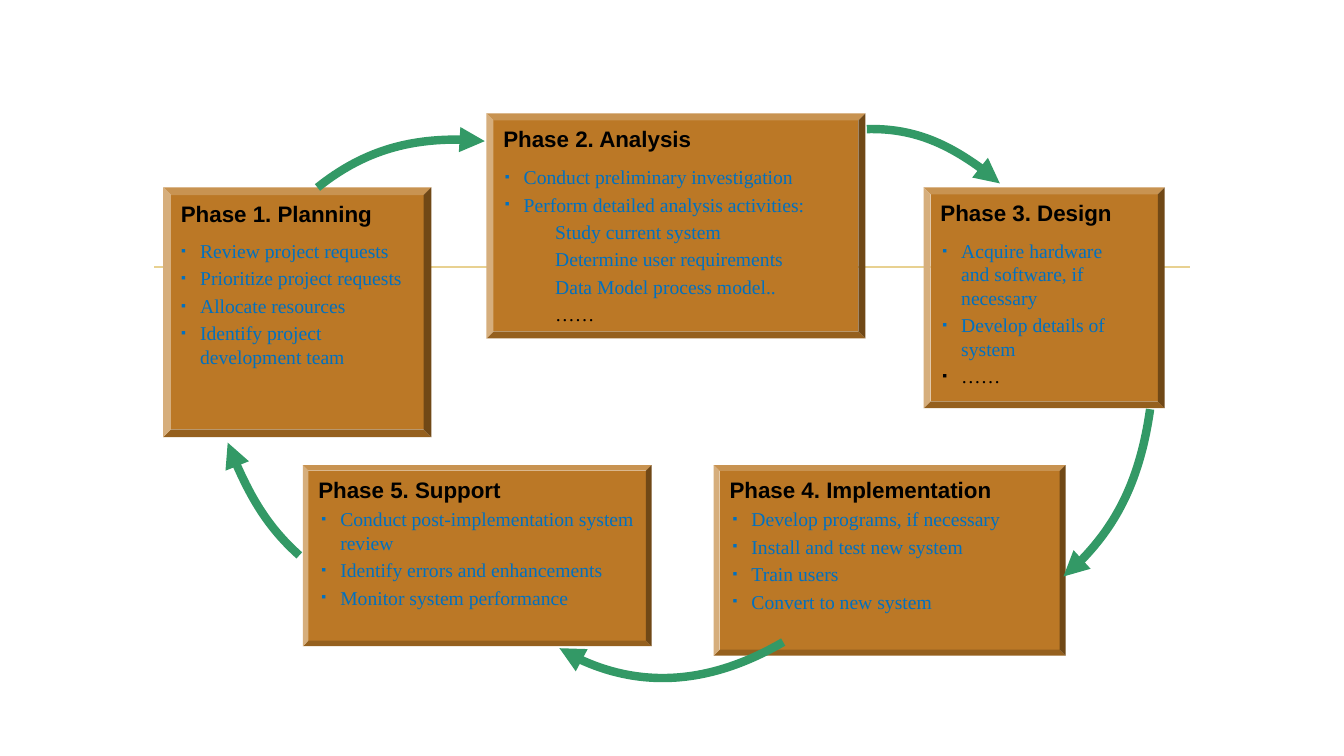
from math import cos, radians, sin

from lxml import etree
from pptx import Presentation
from pptx.dml.color import RGBColor
from pptx.enum.shapes import MSO_CONNECTOR, MSO_SHAPE
from pptx.enum.text import MSO_ANCHOR, MSO_AUTO_SIZE, PP_ALIGN
from pptx.oxml.ns import qn
from pptx.util import Pt

BEVEL = MSO_SHAPE.BEVEL
STRAIGHT = MSO_CONNECTOR.STRAIGHT
TOP = MSO_ANCHOR.TOP
LEFT = PP_ALIGN.LEFT
GROW = MSO_AUTO_SIZE.SHAPE_TO_FIT_TEXT

COLORS = {"panel": "BB7826", "title": "000000", "body": "0070C0",
          "arrow": "339966", "rule": "E8D191"}
TITLE_FONT = {"name": "Arial", "size": Pt(16), "bold": True}
BODY_FONT = {"name": "Times New Roman", "size": Pt(14), "bold": False}
HANG = 13.5
SUB_INDENT = 36

PHASES = [
    ("Phase 1. Planning", (116.6, 133.9, 191.5, 178.4), (122.4, 167, 185, 102.2),
     ["Review project requests", "Prioritize project requests",
      "Allocate resources", "Identify project development team"], []),
    ("Phase 2. Analysis", (347.5, 81.1, 270.7, 160.6), (353.5, 114.3, 264.2, 126),
     ["Conduct preliminary investigation", "Perform detailed analysis activities:"],
     ["Study current system", "Determine user requirements",
      "Data Model process model..", "……"]),
    ("Phase 3. Design", (659.8, 133.9, 172.1, 157.7), (666, 167, 151.9, 115.9),
     ["Acquire hardware and software, if necessary",
      "Develop details of system", "……"], []),
    ("Phase 4. Implementation", (509.8, 332.2, 251.3, 136.1), (516.2, 358.6, 231.1, 85),
     ["Develop programs, if necessary", "Install and test new system",
      "Train users", "Convert to new system"], []),
    ("Phase 5. Support", (216.3, 332.2, 249.1, 129.4), (222.5, 358.6, 240.5, 82.1),
     ["Conduct post-implementation system review",
      "Identify errors and enhancements", "Monitor system performance"], []),
]

ARROWS = [
    (314.7, [(226.8, 133.9), (259.2, 108), (302.4, 95.8), (346.3, 100.8), (342.7, 277.2)]),
    (344.9, [(619.2, 92.2), (650.9, 91.4), (684.7, 105.1), (714.2, 131), (651.6, 303.1)]),
    (88, [(821.5, 292.3), (814.3, 342.7), (792, 385.9), (759.6, 411.8), (688.3, 255.6)]),
    (129.8, [(559.4, 458.6), (506.2, 489.6), (445, 491.8), (399.6, 463), (499.7, 316.1)]),
    (185.6, [(213.8, 396.7), (193, 378), (175, 349.9), (162.7, 316.1), (298.8, 167)]),
]


def color(name):
    return RGBColor.from_string(COLORS[name])


def write(para, text, font, tone):
    para.alignment = LEFT
    span = para.add_run()
    span.text = text
    for key, value in font.items():
        setattr(span.font, key, value)
    span.font.color.rgb = color(tone)


deck = Presentation()
deck.slide_width, deck.slide_height = Pt(960), Pt(540)
page = deck.slides.add_slide(deck.slide_layouts[6])

rule = page.shapes.add_connector(STRAIGHT, Pt(110.2), Pt(190.8), Pt(850.3), Pt(190.8))
rule.line.width = Pt(1.25)
rule.line.color.rgb = color("rule")
etree.SubElement(rule._element.spPr, qn("a:effectLst"))

for title, panel_area, text_area, bullets, details in PHASES:
    panel = page.shapes.add_shape(BEVEL, *map(Pt, panel_area))
    panel.adjustments[0] = 0.031
    panel.shadow.inherit = False
    panel.fill.solid()
    panel.fill.fore_color.rgb = color("panel")
    panel.line.fill.background()
    panel.text_frame.vertical_anchor = TOP
    panel.text_frame.word_wrap = True
    write(panel.text_frame.paragraphs[0], title, TITLE_FONT, "title")

    box = page.shapes.add_textbox(*map(Pt, text_area)).text_frame
    box.word_wrap = True
    box.auto_size = GROW
    for index, text in enumerate(bullets + details):
        para = box.add_paragraph() if index else box.paragraphs[0]
        para.space_before = Pt(2.8)
        write(para, text, BODY_FONT, "title" if text == "……" else "body")
        layout = para._p.get_or_add_pPr()
        if index < len(bullets):
            layout.set("marL", str(Pt(HANG)))
            layout.set("indent", str(-Pt(HANG)))
            etree.SubElement(layout, qn("a:buSzPct"), val="70000")
            etree.SubElement(layout, qn("a:buFont"), typeface="Times New Roman")
            etree.SubElement(layout, qn("a:buChar"), char="▪")
        else:
            para.level = 1
            layout.set("marL", str(Pt(SUB_INDENT)))
            layout.set("indent", "0")

for angle, points in ARROWS:
    c, s = cos(radians(angle)), sin(radians(angle))
    start, *rest = [(Pt(x * c + y * s), Pt(y * c - x * s)) for x, y in points]
    builder = page.shapes.build_freeform(*start)
    builder.add_line_segments(rest, close=True)
    arrow = builder.convert_to_shape()
    middle_x = arrow.left + arrow.width / 2
    middle_y = arrow.top + arrow.height / 2
    arrow.left = round(middle_x * c - middle_y * s - arrow.width / 2)
    arrow.top = round(middle_x * s + middle_y * c - arrow.height / 2)
    arrow.rotation = angle
    arrow.shadow.inherit = False
    arrow.fill.background()
    arrow.line.color.rgb = color("arrow")
    arrow.line.width = Pt(6)
    etree.SubElement(arrow.line._get_or_add_ln(), qn("a:tailEnd"), type="triangle")

    sector = next(arrow._element.iter(qn("a:path")))
    sector.set("stroke", "0")
    curve = etree.Element(qn("a:cubicBezTo"))
    for segment in sector.findall(qn("a:lnTo"))[:3]:
        curve.append(segment[0])
        sector.remove(segment)
    sector.insert(1, curve)
    arc = etree.fromstring(etree.tostring(sector))
    arc.attrib.pop("stroke")
    arc.set("fill", "none")
    for extra in arc[2:]:
        arc.remove(extra)
    sector.addprevious(arc)

deck.save("out.pptx")
